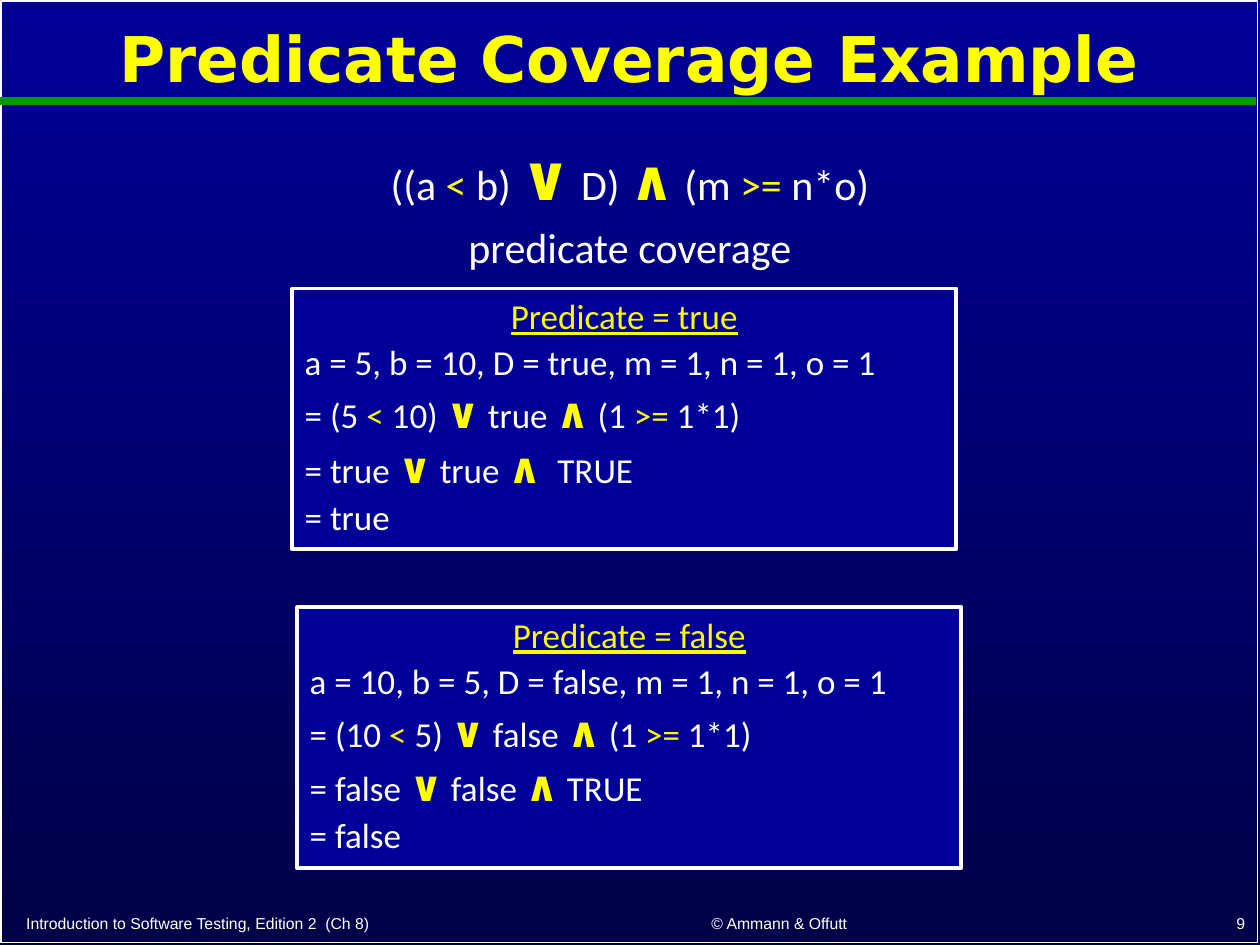
from pptx import Presentation
from pptx.dml.color import RGBColor
from pptx.enum.shapes import MSO_CONNECTOR, MSO_SHAPE
from pptx.enum.text import MSO_ANCHOR, PP_ALIGN
from pptx.oxml.ns import qn
from pptx.util import Inches, Pt
from lxml import etree

LEFT, CENTER, RIGHT = PP_ALIGN.LEFT, PP_ALIGN.CENTER, PP_ALIGN.RIGHT
TOP, MIDDLE, BOTTOM = MSO_ANCHOR.TOP, MSO_ANCHOR.MIDDLE, MSO_ANCHOR.BOTTOM
RECT, STRAIGHT = MSO_SHAPE.RECTANGLE, MSO_CONNECTOR.STRAIGHT

COLORS = {"blue": "000099", "night": "000047", "green": "009900",
          "white": "FFFFFF", "yellow": "FFFF00", "gold": "FAFD00"}
COLS, ROWS = 100, 75


def rgb(name):
    return RGBColor.from_string(COLORS[name])


class Deck:
    """Holds the presentation, its current slide and the text styles."""

    title = {"name": "DejaVu Sans", "size": Pt(36), "bold": True, "color": "yellow"}
    footer = {"name": "Arial", "size": Pt(9), "color": "white"}
    formula = {"name": "Calibri", "size": Pt(24), "color": "white"}
    body = {**formula, "size": Pt(20)}
    heading = {**body, "color": "gold", "underline": True}

    def __init__(self):
        self.prs = Presentation()
        self.prs.slide_width, self.prs.slide_height = Inches(10), Inches(7.5)
        self.s = self.prs.slides.add_slide(self.prs.slide_layouts[6])

    def grid(self, left, top, width, height):
        """Turn columns and rows into slide lengths."""
        col, row = self.prs.slide_width / COLS, self.prs.slide_height / ROWS
        return [round(n) for n in (left * col, top * row, width * col, height * row)]

    def background(self, start, end):
        fill = self.s.background.fill
        fill.gradient()
        fill.gradient_angle = 270
        for stop, name, position in zip(fill.gradient_stops, (start, end), (0, 1)):
            stop.color.rgb = rgb(name)
            stop.position = position

    def rect(self, area, weight, fill=None):
        sp = self.s.shapes.add_shape(RECT, *self.grid(*area))
        sp.shadow.inherit = False
        if fill:
            sp.fill.solid()
            sp.fill.fore_color.rgb = rgb(fill)
        else:
            sp.fill.background()
        sp.line.color.rgb = rgb("white")
        sp.line.width = Pt(weight)
        return sp

    def rule(self, row, length, color, weight):
        x, y, width, _ = self.grid(0, row, length, 0)
        line = self.s.shapes.add_connector(STRAIGHT, x, y, x + width, y)
        line.line.color.rgb = rgb(color)
        line.line.width = Pt(weight)
        etree.SubElement(line._element.spPr, qn("a:effectLst"))

    def text(self, area, anchor=TOP):
        tf = self.s.shapes.add_textbox(*self.grid(*area)).text_frame
        tf.word_wrap = True
        tf.vertical_anchor = anchor
        return tf

    def run(self, p, text, style):
        r = p.add_run()
        r.text = text
        for key, value in style.items():
            if key == "color":
                r.font.color.rgb = rgb(value)
            else:
                setattr(r.font, key, value)

    def paragraph(self, tf, text, style, align=LEFT, before=0, spacing=None,
                  indent=0, symbols=None):
        """Add a line of text; parts between bars are operators in yellow."""
        p = tf.paragraphs[0]
        if p.runs:
            p = tf.add_paragraph()
        p.alignment, p.line_spacing = align, spacing
        if before:
            p.space_before = Pt(0)
            gap = p._p.pPr.find(qn("a:spcBef"))
            gap.clear()
            etree.SubElement(gap, qn("a:spcPct")).set("val", str(before * 1000))
        if indent:
            p._p.pPr.set("marL", str(Inches(indent)))
            p._p.pPr.set("indent", str(-Inches(indent)))
        for i, part in enumerate(text.split("|")):
            look = dict(style)
            if i % 2:
                look["color"] = "yellow"
                if part in symbols:
                    look.update(size=Pt(symbols[part]), bold=True)
            self.run(p, part, look)

    def case_box(self, left, top, heading, lines):
        tf = self.rect((left, top, 52.7, 20.7), 2.25, "blue").text_frame
        tf.word_wrap = True
        tf.vertical_anchor = TOP
        self.paragraph(tf, heading, self.heading, CENTER, before=10)
        for line in lines:
            self.paragraph(tf, line, self.body, before=10, symbols={"∨": 24, "∧": 24})


def main():
    deck = Deck()
    deck.background("blue", "night")
    deck.rect((0.1, 0.1, 99.7, 74.7), 1)
    deck.rule(8, 99.7, "green", 4.5)

    footers = [(1.1, 42.7, LEFT, "Introduction to Software Testing, Edition 2  (Ch 8)"),
               (46, 31.7, CENTER, "© Ammann & Offutt"),
               (79, 20.8, RIGHT, "9")]
    for left, width, align, text in footers:
        tf = deck.text((left, 71.9, width, 2.6), BOTTOM)
        deck.paragraph(tf, text, deck.footer, align)

    tf = deck.text((1, 0.5, 97.9, 8.8), MIDDLE)
    deck.paragraph(tf, "Predicate Coverage Example", deck.title, CENTER, spacing=0.9)

    tf = deck.text((1.5, 11.1, 97, 9.9))
    for text in ("((a |<| b) |∨| D) |∧| (m |>=| n*o)", "predicate coverage"):
        deck.paragraph(tf, text, deck.formula, CENTER, before=30, spacing=0.9,
                       indent=0.31, symbols={"∨": 36, "∧": 32})

    deck.case_box(23.2, 22.9, "Predicate = true", [
        "a = 5, b = 10, D = true, m = 1, n = 1, o = 1",
        "= (5 |<| 10) |∨| true |∧| (1 |>=| 1*1)",
        "= true |∨| true |∧|  TRUE",
        "= true"])
    deck.case_box(23.6, 48.2, "Predicate = false", [
        "a = 10, b = 5, D = false, m = 1, n = 1, o = 1",
        "= (10 |<| 5) |∨| false |∧| (1 |>=| 1*1)",
        "= false |∨| false |∧| TRUE",
        "= false"])
    deck.prs.save("out.pptx")


if __name__ == "__main__":
    main()
